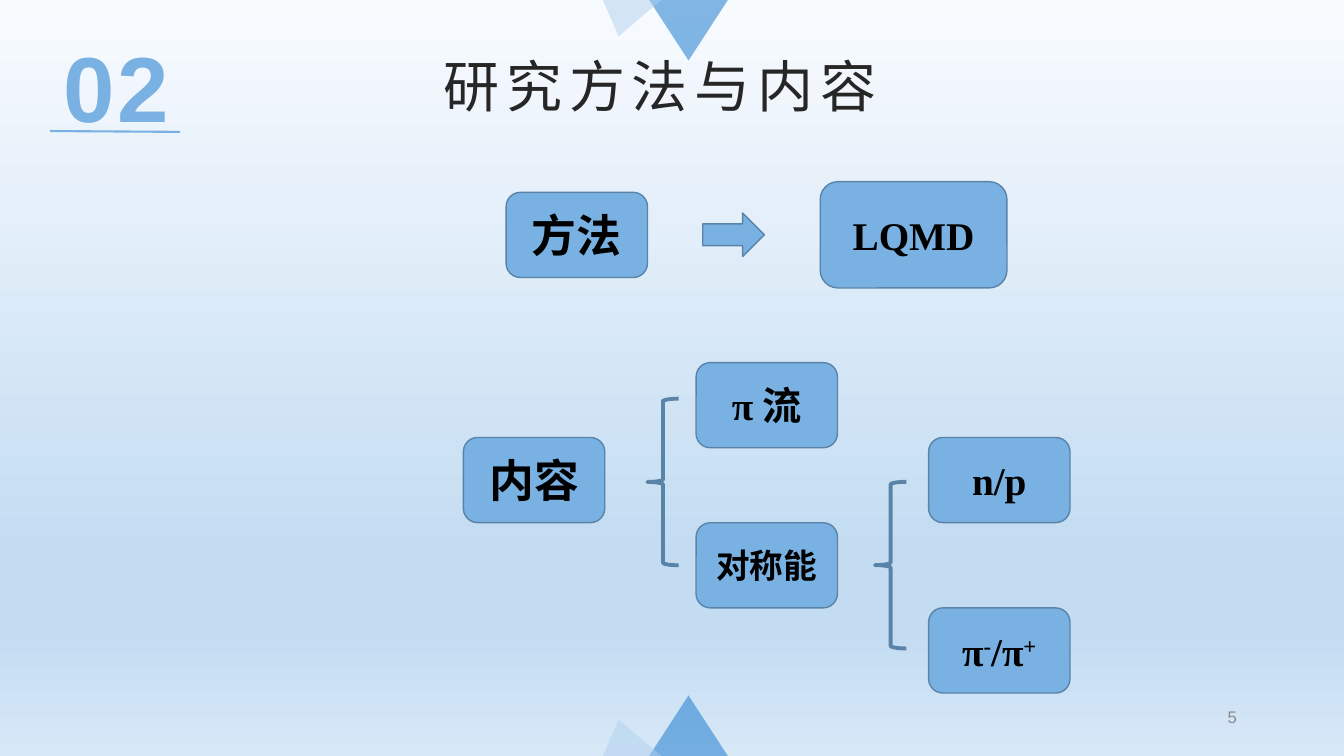
from lxml import etree
from pptx import Presentation
from pptx.dml.color import RGBColor
from pptx.enum.shapes import MSO_CONNECTOR as CONNECTOR, MSO_SHAPE as SHAPE
from pptx.enum.text import MSO_ANCHOR as ANCHOR, PP_ALIGN as ALIGN
from pptx.oxml.ns import qn
from pptx.util import Pt

BLUE = RGBColor(0x79, 0xB1, 0xE3)
OUTLINE = RGBColor(0x5A, 0x83, 0xA8)
DEEP_BLUE = RGBColor(0x31, 0x87, 0xD4)
PALE_BLUE = RGBColor(0xAF, 0xD0, 0xEE)
BLACK = RGBColor(0, 0, 0)
DARK = RGBColor(0x26, 0x26, 0x26)
GREY = RGBColor(0x8C, 0x8C, 0x8C)

CJK, SERIF, SANS = "Noto Sans CJK SC", "Times New Roman", "Arial"
WIDTH, HEIGHT = 960, 540
BOX_SIZE = (101, 60.8)

BACKGROUND_STOPS = [(0, "F8FBFE"), (74, "C3DCF2"), (83, "C3DCF2"), (100, "D7E8F7")]
TRIANGLES = [
    (463.7, 56.2, 43.2, 0.5, DEEP_BLUE, 60),
    (430.6, 41.8, 25.9, 0.27, PALE_BLUE, 50),
]
BOXES = [
    ((361.5, 137.4), BOX_SIZE, 32, [("方法", CJK, 0)]),
    ((585.9, 129.8), (133.4, 75.9), 28, [("LQMD", SERIF, 0)]),
    ((331, 312.5), BOX_SIZE, 32, [("内容", CJK, 0)]),
    ((497.2, 259), BOX_SIZE, 28, [("π", SERIF, 0), ("流", CJK, 0)]),
    ((497.2, 373.4), BOX_SIZE, 24, [("对称能", CJK, 0)]),
    ((663.3, 312.5), BOX_SIZE, 28, [("n/p", SERIF, 0)]),
    ((663.3, 434.2), BOX_SIZE, 28,
     [("π", SERIF, 0), ("-", SERIF, 30), ("/π", SERIF, 0), ("+", SERIF, 30)]),
]
BRACES = [(462.4, 284.8), (625, 344.2)]
BRACE_SIZE = (22.4, 119)
ARROW = (502, 152.2, 44, 31)
UNDERLINE = (35.8, 93.6, 128.7, 94.2)


def paint_background(slide):
    fill = slide.background.fill
    fill.gradient()
    fill.gradient_angle = 270
    stops = slide.background._cSld.find(".//" + qn("a:gsLst"))
    for stop in list(stops):
        stops.remove(stop)
    for position, color in BACKGROUND_STOPS:
        stop = etree.SubElement(stops, qn("a:gs"), pos=str(position * 1000))
        etree.SubElement(stop, qn("a:srgbClr"), val=color)


def add_shape(slide, kind, left, top, width, height, fill=None, line_width=None):
    shape = slide.shapes.add_shape(kind, Pt(left), Pt(top), Pt(width), Pt(height))
    shape.shadow.inherit = False
    if fill is None:
        shape.fill.background()
    else:
        shape.fill.solid()
        shape.fill.fore_color.rgb = fill
    if line_width is None:
        shape.line.fill.background()
    else:
        shape.line.color.rgb = OUTLINE
        shape.line.width = Pt(line_width)
    return shape


def write_text(shape, runs, size, color, bold=False, align=ALIGN.CENTER, spacing=0):
    frame = shape.text_frame
    frame.word_wrap = True
    frame.vertical_anchor = ANCHOR.MIDDLE
    paragraph = frame.paragraphs[0]
    paragraph.alignment = align
    for text, font_name, baseline in runs:
        run = paragraph.add_run()
        run.text = text
        font = run.font
        font.name, font.size, font.bold = font_name, Pt(size), bold
        font.color.rgb = color
        properties = run._r.get_or_add_rPr()
        east_asian = etree.SubElement(properties, qn("a:ea"))
        east_asian.set("typeface", font_name)
        if baseline:
            properties.set("baseline", str(baseline * 1000))
        if spacing:
            properties.set("spc", str(spacing * 100))


def add_text(slide, text, left, top, width, height, font, **text_format):
    text_box = slide.shapes.add_textbox(Pt(left), Pt(top), Pt(width), Pt(height))
    write_text(text_box, [(text, font, 0)], **text_format)


def add_triangles(slide):
    for at_top in (True, False):
        for left, width, height, apex, color, opacity in TRIANGLES:
            top = 0 if at_top else HEIGHT - height
            triangle = add_shape(slide, SHAPE.ISOSCELES_TRIANGLE,
                                 left, top, width, height, color)
            triangle.rotation = 180 if at_top else 0
            triangle.adjustments[0] = 1 - apex if at_top else apex
            color_element = triangle.fill._xPr.find(".//" + qn("a:srgbClr"))
            etree.SubElement(color_element, qn("a:alpha"), val=str(opacity * 1000))


def add_underline(slide):
    line = slide.shapes.add_connector(CONNECTOR.STRAIGHT, *map(Pt, UNDERLINE))
    line.line.color.rgb = BLUE
    line.line.width = Pt(1.5)
    etree.SubElement(line._element.spPr, qn("a:effectLst"))


def main():
    presentation = Presentation()
    presentation.slide_width, presentation.slide_height = Pt(WIDTH), Pt(HEIGHT)
    slide = presentation.slides.add_slide(presentation.slide_layouts[6])
    paint_background(slide)
    add_triangles(slide)
    add_text(slide, "02", 17.3, 17.3, 131, 87, SANS,
             size=66, color=BLUE, bold=True, spacing=2)
    add_text(slide, "研究方法与内容", 309.6, 28, 454.3, 65.5, CJK,
             size=40, color=DARK, align=ALIGN.JUSTIFY, spacing=5)
    add_underline(slide)
    add_shape(slide, SHAPE.RIGHT_ARROW, *ARROW, fill=BLUE, line_width=1)
    for position in BRACES:
        add_shape(slide, SHAPE.LEFT_BRACE, *position, *BRACE_SIZE, line_width=2.75)
    for position, box_size, size, runs in BOXES:
        box = add_shape(slide, SHAPE.ROUNDED_RECTANGLE, *position, *box_size,
                        fill=BLUE, line_width=1)
        write_text(box, runs, size, BLACK, bold=True)
    add_text(slide, "5", 678.2, 499.7, 212.4, 25.2, SANS,
             size=12, color=GREY, align=ALIGN.RIGHT)
    presentation.save("out.pptx")


if __name__ == "__main__":
    main()
